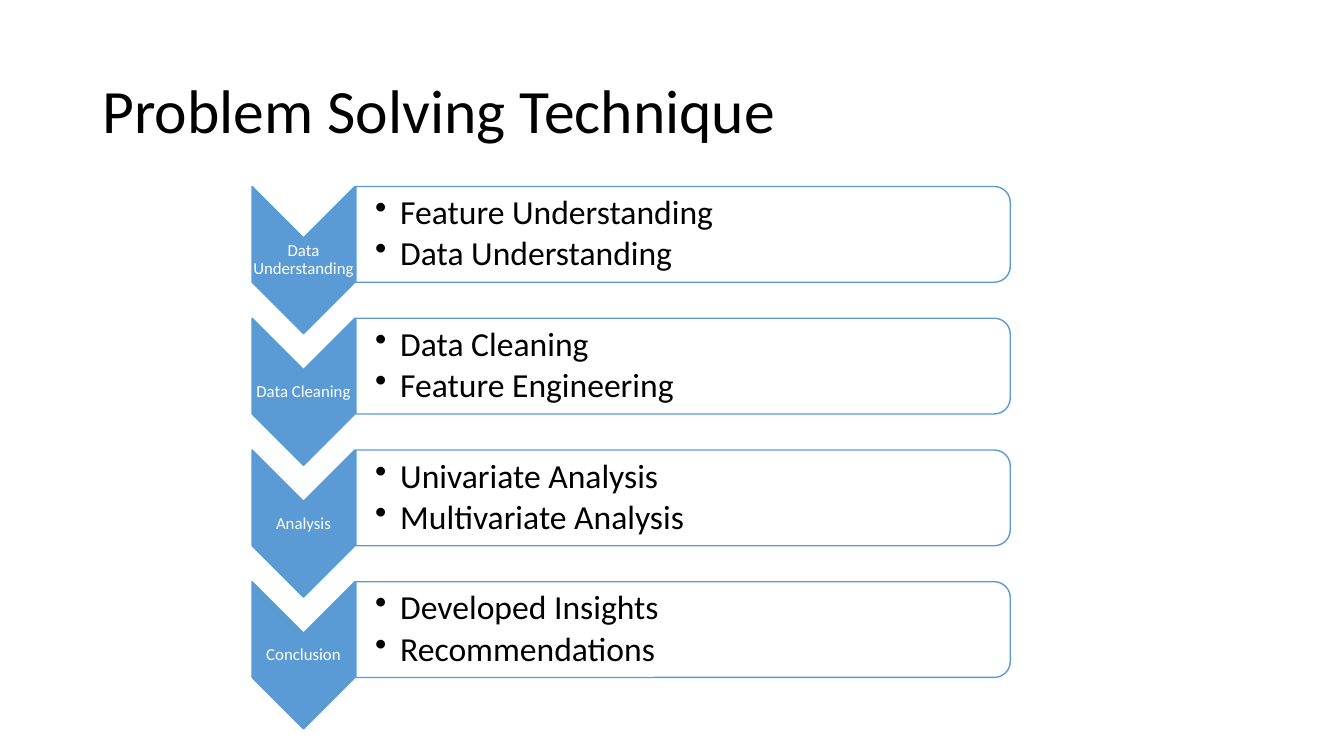
import pptx
import pptx.util
import pptx.dml.color
import pptx.oxml
import pptx.oxml.ns
from pptx.enum.shapes import MSO_SHAPE
from pptx.enum.text import MSO_ANCHOR, PP_ALIGN

TITLE = "Problem Solving Technique"
STAGES = [
    ("Data Understanding", ["Feature Understanding", "Data Understanding"]),
    ("Data Cleaning", ["Data Cleaning", "Feature Engineering"]),
    ("Analysis", ["Univariate Analysis", "Multivariate Analysis"]),
    ("Conclusion", ["Developed Insights", "Recommendations"]),
]
BLUE, WHITE, BLACK = "5B9BD5", "FFFFFF", "000000"
FONT = "Calibri"

SLIDE_W, SLIDE_H = 13.33, 7.5
FIRST_TOP, ROW_STEP = 1.85, 1.307
ARROW_LEFT, ARROW_W, ARROW_H = 2.5, 1.02, 1.46
PANEL_LEFT, PANEL_W, PANEL_H = 3.53, 6.49, 0.95
LABEL_H, POINTS_W, POINTS_H = 0.44, 6.44, 0.86
BULLET_INDENT = 0.25

inch = pptx.util.Inches
deck = pptx.Presentation()
deck.slide_width, deck.slide_height = inch(SLIDE_W), inch(SLIDE_H)
slide = deck.slides.add_slide(deck.slide_layouts[6])


def color(hex_code):
    return pptx.dml.color.RGBColor.from_string(hex_code)


def add_quarter_turned(preset, left, top, width, height, fill, opacity=100):
    shape = slide.shapes.add_shape(
        preset, inch(left + (width - height) / 2), inch(top + (height - width) / 2),
        inch(height), inch(width))
    shape.rotation = 90
    shape.shadow.inherit = False
    shape.fill.solid()
    shape.fill.fore_color.rgb = color(fill)
    shape.line.color.rgb = color(BLUE)
    shape.line.width = pptx.util.Pt(1)
    if opacity < 100:
        fill_color = shape.fill._xPr.find(pptx.oxml.ns.qn("a:solidFill"))[0]
        alpha = pptx.oxml.parse_xml(
            f'<a:alpha {pptx.oxml.ns.nsdecls("a")} val="{opacity * 1000}"/>')
        fill_color.append(alpha)


def add_bullet(paragraph):
    properties = paragraph._p.get_or_add_pPr()
    properties.set("marL", str(inch(BULLET_INDENT)))
    properties.set("indent", str(-inch(BULLET_INDENT)))
    properties.append(pptx.oxml.parse_xml(
        f'<a:buChar {pptx.oxml.ns.nsdecls("a")} char="•"/>'))


def add_text(lines, left, top, width, height, size, ink=BLACK, align=PP_ALIGN.LEFT,
             insets=(0.1, 0.05, 0.1, 0.05), space_after=0, bullets=False):
    frame = slide.shapes.add_textbox(
        inch(left), inch(top), inch(width), inch(height)).text_frame
    frame.word_wrap = True
    frame.vertical_anchor = MSO_ANCHOR.MIDDLE
    (frame.margin_left, frame.margin_top,
     frame.margin_right, frame.margin_bottom) = map(inch, insets)
    for index, line in enumerate(lines):
        paragraph = frame.add_paragraph() if index else frame.paragraphs[0]
        paragraph.alignment = align
        paragraph.line_spacing = 0.9
        paragraph.space_after = pptx.util.Pt(size * space_after)
        if bullets:
            add_bullet(paragraph)
        run = paragraph.add_run()
        run.text = line
        run.font.name = FONT
        run.font.size = pptx.util.Pt(size)
        run.font.color.rgb = color(ink)


add_text([TITLE], 0.92, 0.4, 11.5, 1.45, size=44)

for row, (stage, points) in enumerate(STAGES):
    top = FIRST_TOP + row * ROW_STEP
    add_quarter_turned(MSO_SHAPE.CHEVRON, ARROW_LEFT, top, ARROW_W, ARROW_H, BLUE)
    add_text([stage], ARROW_LEFT, top + ARROW_W / 2, ARROW_W, LABEL_H, size=12,
             ink=WHITE, align=PP_ALIGN.CENTER, insets=[0.01] * 4, space_after=0.35)
    add_quarter_turned(MSO_SHAPE.ROUND_2_SAME_RECTANGLE, PANEL_LEFT, top,
                       PANEL_W, PANEL_H, WHITE, opacity=90)
    add_text(points, PANEL_LEFT, top + (PANEL_H - POINTS_H) / 2, POINTS_W, POINTS_H,
             size=24, insets=(0.19, 0.02, 0.02, 0.02), space_after=0.15, bullets=True)

deck.save("out.pptx")
